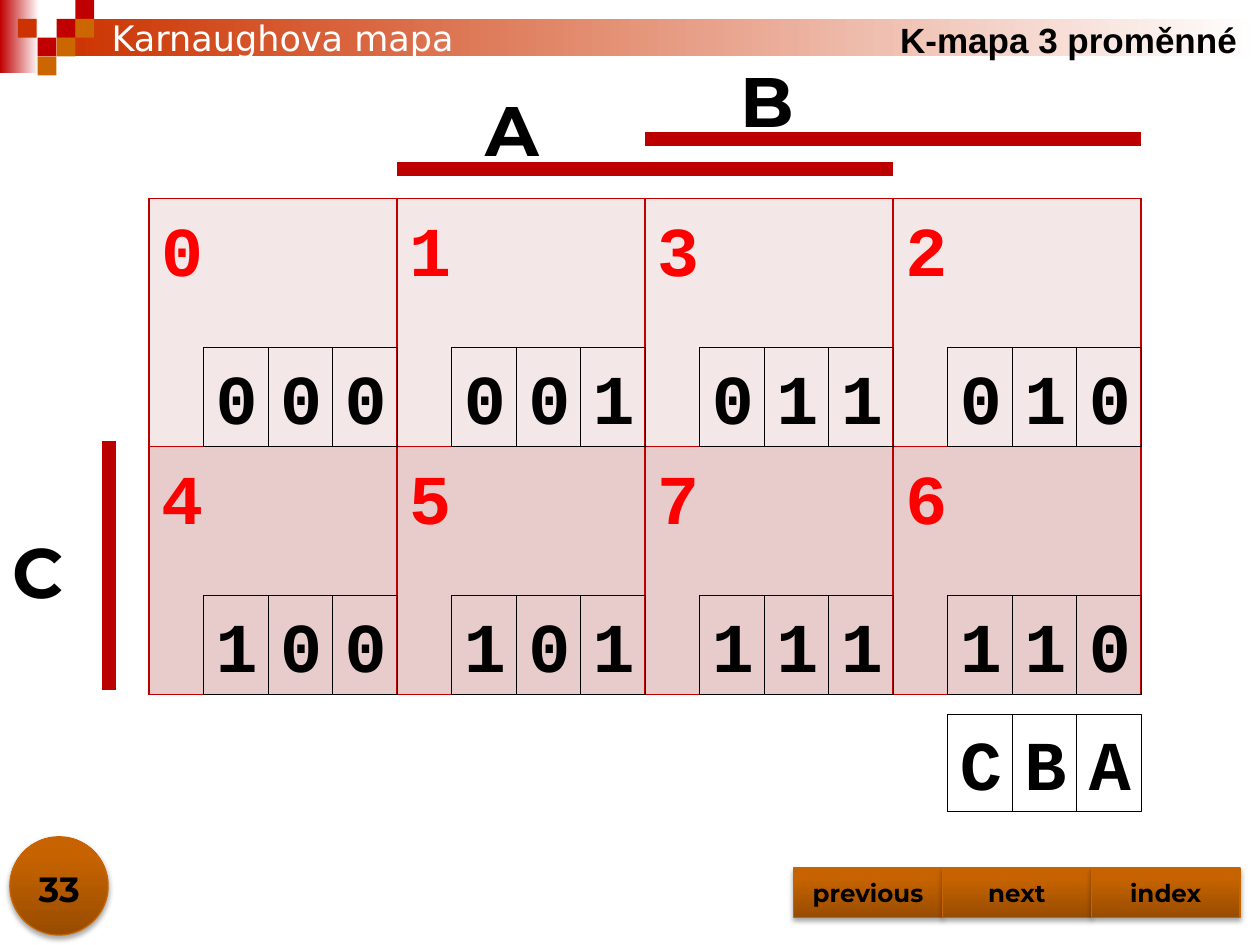
"""Build the slide with a Karnaugh map of three variables, laid out in centimetres."""
from lxml import etree
from pptx import Presentation
from pptx.dml.color import RGBColor
from pptx.enum.shapes import MSO_CONNECTOR, MSO_SHAPE
from pptx.enum.text import MSO_ANCHOR, PP_ALIGN
from pptx.oxml.ns import qn
from pptx.util import Cm, Pt

RECT, OVAL, BUTTON = MSO_SHAPE.RECTANGLE, MSO_SHAPE.OVAL, MSO_SHAPE.ACTION_BUTTON_CUSTOM
LEFT, MID, RIGHT = PP_ALIGN.LEFT, PP_ALIGN.CENTER, PP_ALIGN.RIGHT
CENTER, BOTTOM = MSO_ANCHOR.MIDDLE, MSO_ANCHOR.BOTTOM

HUES = {
    "red": "C00000", "rust": "CC3300", "ochre": "CC6600", "bar": "BC0000",
    "index": "FF0000", "black": "000000", "white": "FFFFFF",
    "dark": "984C00", "warm": "C66300", "edge": "C86400",
    "pale": "F4E7E7", "pink": "E8CCCC",
}
MONO, SANS = "Courier New", "Montserrat"

MAP = [[0, 1, 3, 2], [4, 5, 7, 6]]
ROWS = ["pale", "pink"]
X, Y, CELL = 3, 4, 5
BIT, TALL, LOW = 1.3, 2, 1.96
BARS = [(1, 3.4, 3), (2, 2.8, 4)]
NAMES = [("A", 9.54, 1.61), ("C", 0, 10.52), ("B", 14.68, 1.02)]
TILE = 0.38
TILES = [(3, 1, "red"), (4, 0, "red"), (4, 1, "ochre"), (2, 2, "red"),
         (0.95, 1, "rust"), (3, 2, "ochre"), (2, 3, "ochre")]
FADES = [(0, 0, 0.79, 1.47, "red"), (1.14, 0.38, 24.26, 0.75, "rust")]
LINKS = ["previous", "next", "index"]

deck = Presentation()
deck.slide_width, deck.slide_height = Cm(25.4), Cm(19.05)
slide = deck.slides.add_slide(deck.slide_layouts[6])


def rgb(hue):
    return RGBColor.from_string(HUES[hue])


def box(*at):
    return [Cm(n) for n in at]


def write(shape, text, size, font, hue="black", align=LEFT, bold=True, wrap=False, anchor=CENTER):
    frame = shape.text_frame
    frame.word_wrap, frame.vertical_anchor = wrap, anchor
    par = frame.paragraphs[0]
    par.text, par.alignment = text, align
    par.font.size, par.font.name, par.font.bold = Pt(size), font, bold
    par.font.color.rgb = rgb(hue)


def label(at, text, size, font, **look):
    write(slide.shapes.add_textbox(*box(*at)), text, size, font, **look)


def form(kind, at, fill=None, line=None, width=0.25):
    shape = slide.shapes.add_shape(kind, *box(*at))
    shape.shadow.inherit = False
    if fill:
        shape.fill.solid()
        shape.fill.fore_color.rgb = rgb(fill)
    else:
        shape.fill.background()
    if line:
        shape.line.color.rgb, shape.line.width = rgb(line), Pt(width)
    else:
        shape.line.fill.background()
    return shape


def fade(shape, start, end, angle, last=1):
    shape.fill.gradient()
    shape.fill.gradient_angle = angle
    for stop, hue, place in zip(shape.fill.gradient_stops, (start, end), (0, last)):
        stop.color.rgb, stop.position = rgb(hue), place


def knob(kind, at):
    shape = form(kind, at, line="edge", width=0.75)
    fade(shape, "dark", "warm", 90, 0.8)
    glow = shape._element.spPr.find(qn("a:effectLst"))
    drop = etree.SubElement(glow, qn("a:outerShdw"), blurRad=str(Pt(3.1)),
                            dist=str(Pt(1.8)), dir="5400000", rotWithShape="0")
    tone = etree.SubElement(drop, qn("a:srgbClr"), val=HUES["black"])
    etree.SubElement(tone, qn("a:alpha"), val="35000")
    return shape


def bar(*ends):
    line = slide.shapes.add_connector(MSO_CONNECTOR.STRAIGHT, *box(*ends))
    line.line.color.rgb, line.line.width = rgb("bar"), Pt(8)
    etree.SubElement(line._element.spPr, qn("a:effectLst"))


def paint(cell, hue):
    props = cell._tc.get_or_add_tcPr()
    for side in ("lnL", "lnR", "lnT", "lnB"):
        edge = etree.SubElement(props, qn(f"a:{side}"), w=str(Pt(1)))
        fill = etree.SubElement(edge, qn("a:solidFill"))
        etree.SubElement(fill, qn("a:srgbClr"), val=HUES["red"])
    cell.fill.solid()
    cell.fill.fore_color.rgb = rgb(hue)


def bits(text, right, top, tall=TALL):
    for i, char in enumerate(reversed(text), 1):
        write(form(RECT, (right - i * BIT, top, BIT, tall), line="black"), char, 40, MONO)


for *at, hue in FADES:
    fade(form(RECT, at), hue, "white", 0)
for col, row, hue in TILES:
    form(RECT, (col * TILE, row * TILE, TILE, TILE), hue)

wide, high = len(MAP[0]), len(MAP)
table = slide.shapes.add_table(high, wide, *box(X, Y, wide * CELL, high * CELL)).table
for part in table.columns:
    part.width = Cm(CELL)
for part in table.rows:
    part.height = Cm(CELL)

for start, top, end in BARS:
    bar(X + start * CELL, top, X + end * CELL, top)
bar(2.2, 8.9, 2.2, 8.9 + CELL)
for name, left, top in NAMES:
    label((left, top, 1.63, LOW), name, 40, SANS)

spots = [(r, c, num) for r, line in enumerate(MAP) for c, num in enumerate(line)]
for r, c, num in spots:
    paint(table.cell(r, c), ROWS[r])
    bits(f"{num:03b}", X + (c + 1) * CELL, Y + (r + 1) * CELL - TALL)
bits("CBA", X + wide * CELL, 14.4, LOW)
for r, c, num in reversed(spots):
    label((X + c * CELL, Y + r * CELL, BIT, TALL), str(num), 40, MONO, hue="index")

label((11.91, 0.19, 13.28, 1.2), "K-mapa 3 proměnné", 20, "Arial", align=RIGHT, wrap=True)
label((2, 0.2, 11.36, 1.12), "Karnaughova mapa", 20, "DejaVu Sans",
      hue="white", bold=False, wrap=True)

for i, name in enumerate(LINKS):
    write(knob(BUTTON, (16 + i * 3, 17.5, 3, 1)), name, 14, SANS, align=MID, wrap=True)
knob(OVAL, (0.2, 16.87, 1.98, 1.98))
label((0, 17.2, 2.39, 1.27), "33", 20, SANS, align=MID, wrap=True, anchor=BOTTOM)

deck.save("out.pptx")
